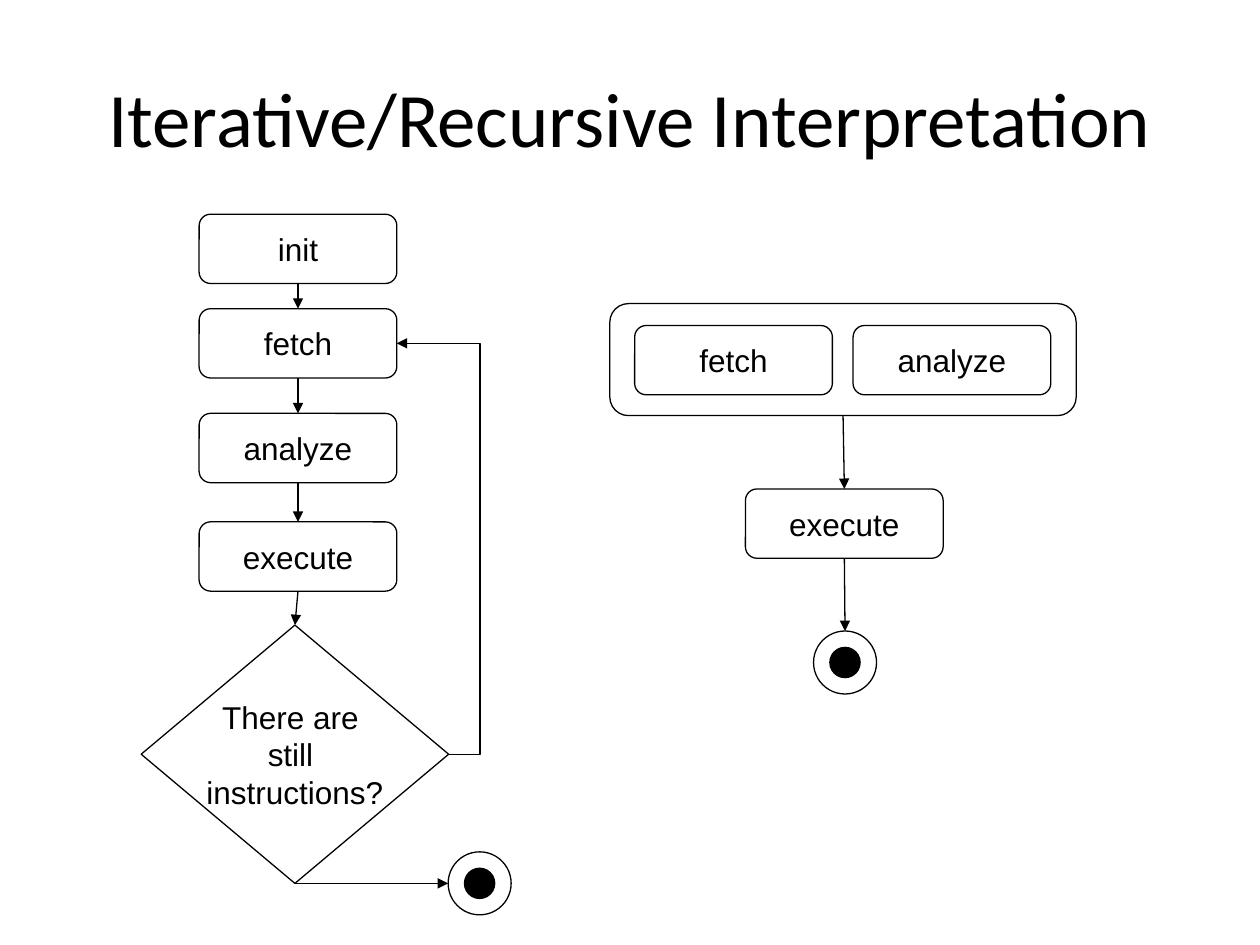
from dataclasses import dataclass

import lxml.etree
import pptx
import pptx.dml.color
import pptx.enum.shapes
import pptx.enum.text
import pptx.oxml.ns
import pptx.util

Pt = pptx.util.Pt
Preset = pptx.enum.shapes.MSO_SHAPE
Connector = pptx.enum.shapes.MSO_CONNECTOR
qn = pptx.oxml.ns.qn

COLORS = {"ink": "000000", "paper": "FFFFFF"}
LINE_WIDTH = 0.75
STEP_WIDTH, STEP_HEIGHT = 113, 39.6
MARKER_SIZE, DOT_SIZE = 36, 17.3
TOP, LEFT, BOTTOM, RIGHT = range(4)
LABEL_FRAME = {
    "word_wrap": False,
    "vertical_anchor": pptx.enum.text.MSO_ANCHOR.MIDDLE,
    "margin_left": Pt(7.2),
    "margin_right": Pt(7.2),
    "margin_top": Pt(3.6),
    "margin_bottom": Pt(3.6),
}
TITLE_FRAME = LABEL_FRAME | {"word_wrap": True}
LABEL_FONT = {"name": "Arial", "size": Pt(18)}
TITLE_FONT = {"name": "Calibri", "size": Pt(44)}


@dataclass
class Node:
    left: float
    top: float
    width: float = STEP_WIDTH
    height: float = STEP_HEIGHT
    lines: tuple[str, ...] = ()
    preset: Preset = Preset.ROUNDED_RECTANGLE
    fill: str = "paper"


@dataclass
class Arrow:
    source: str
    target: str
    exit: int = BOTTOM
    entry: int = TOP
    join_target: bool = True


NODES = {
    "init": Node(113.8, 122.4, lines=("init",)),
    "fetch": Node(113.8, 176.4, lines=("fetch",)),
    "analyze": Node(113.8, 236.2, lines=("analyze",)),
    "execute": Node(113.8, 298.2, lines=("execute",)),
    "decision": Node(80.7, 357.2, 175.7, 147.6,
                     ("There are ", "still ", "instructions?"), Preset.DIAMOND),
    "recursive group": Node(348.5, 173.5, 266.5, 64),
    "recursive fetch": Node(362.7, 186, lines=("fetch",)),
    "recursive analyze": Node(487.5, 186, lines=("analyze",)),
    "recursive execute": Node(426, 279.4, lines=("execute",)),
}
END_MARKERS = {"iterative end": (256.1, 486.8), "recursive end": (464.9, 360.6)}
ARROWS = [
    Arrow("init", "fetch"),
    Arrow("fetch", "analyze"),
    Arrow("analyze", "execute"),
    Arrow("execute", "decision"),
    Arrow("decision", "iterative end", entry=LEFT, join_target=False),
    Arrow("recursive group", "recursive execute"),
    Arrow("recursive execute", "recursive end"),
]


def rgb(name: str) -> pptx.dml.color.RGBColor:
    return pptx.dml.color.RGBColor.from_string(COLORS[name])


def write_text(frame, lines: tuple[str, ...], frame_format: dict, font_format: dict) -> None:
    for attribute, value in frame_format.items():
        setattr(frame, attribute, value)
    for index, line in enumerate(lines):
        paragraph = frame.paragraphs[0] if index == 0 else frame.add_paragraph()
        paragraph.alignment = pptx.enum.text.PP_ALIGN.CENTER
        run = paragraph.add_run()
        run.text = line
        for attribute, value in font_format.items():
            setattr(run.font, attribute, value)
        run.font.color.rgb = rgb("ink")


def draw_node(slide, node: Node):
    shape = slide.shapes.add_shape(
        node.preset, Pt(node.left), Pt(node.top), Pt(node.width), Pt(node.height))
    shape.shadow.inherit = False
    shape.fill.solid()
    shape.fill.fore_color.rgb = rgb(node.fill)
    shape.line.color.rgb = rgb("ink")
    shape.line.width = Pt(LINE_WIDTH)
    if node.lines:
        write_text(shape.text_frame, node.lines, LABEL_FRAME, LABEL_FONT)
    return shape


def draw_end_marker(slide, left: float, top: float):
    ring = draw_node(slide, Node(left, top, MARKER_SIZE, MARKER_SIZE,
                                 preset=Preset.FLOWCHART_CONNECTOR))
    inset = (MARKER_SIZE - DOT_SIZE) / 2
    draw_node(slide, Node(left + inset, top + inset, DOT_SIZE, DOT_SIZE,
                          preset=Preset.OVAL, fill="ink"))
    return ring


def side_middle(shape, side: int) -> tuple[int, int]:
    x = {LEFT: shape.left, RIGHT: shape.left + shape.width}.get(
        side, shape.left + shape.width // 2)
    y = {TOP: shape.top, BOTTOM: shape.top + shape.height}.get(
        side, shape.top + shape.height // 2)
    return x, y


def draw_connector(slide, kind: Connector, source, exit: int, target, entry: int):
    connector = slide.shapes.add_connector(
        kind, *side_middle(source, exit), *side_middle(target, entry))
    connector.line.color.rgb = rgb("ink")
    connector.line.width = Pt(LINE_WIDTH)
    properties = connector._element.spPr
    lxml.etree.SubElement(properties.find(qn("a:ln")), qn("a:tailEnd"), type="triangle")
    lxml.etree.SubElement(properties, qn("a:effectLst"))
    return connector


def draw_arrow(slide, arrow: Arrow, shapes: dict) -> None:
    source, target = shapes[arrow.source], shapes[arrow.target]
    connector = draw_connector(
        slide, Connector.STRAIGHT, source, arrow.exit, target, arrow.entry)
    connector.begin_connect(source, arrow.exit)
    if arrow.join_target:
        connector.end_connect(target, arrow.entry)


def draw_loop_back(slide, source, target, bend: int) -> None:
    loop = draw_connector(slide, Connector.ELBOW, source, RIGHT, target, RIGHT)
    geometry = loop._element.spPr.find(qn("a:prstGeom"))
    guides = geometry.get_or_add_avLst()
    lxml.etree.SubElement(guides, qn("a:gd"), name="adj1", fmla=f"val {bend}")


def main() -> None:
    presentation = pptx.Presentation()
    presentation.slide_width, presentation.slide_height = Pt(720), Pt(540)
    slide = presentation.slides.add_slide(presentation.slide_layouts[6])

    title = slide.shapes.add_textbox(Pt(36), Pt(21.6), Pt(648), Pt(90))
    write_text(title.text_frame, ("Iterative/Recursive Interpretation",),
               TITLE_FRAME, TITLE_FONT)

    shapes = {name: draw_node(slide, node) for name, node in NODES.items()}
    for name, (left, top) in END_MARKERS.items():
        shapes[name] = draw_end_marker(slide, left, top)
    for arrow in ARROWS:
        draw_arrow(slide, arrow, shapes)
    draw_loop_back(slide, shapes["decision"], shapes["fetch"], -61000)

    presentation.save("out.pptx")


if __name__ == "__main__":
    main()
